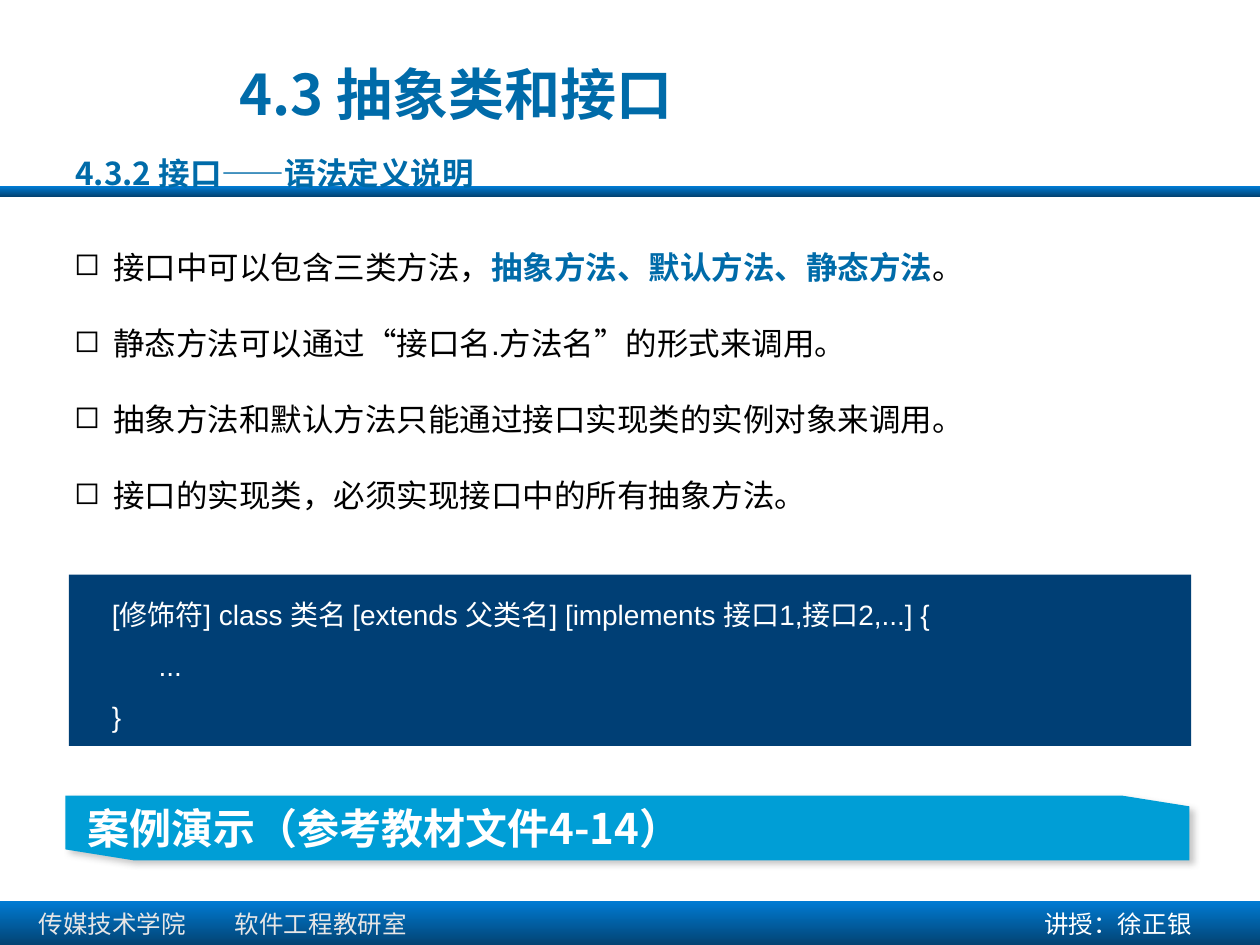
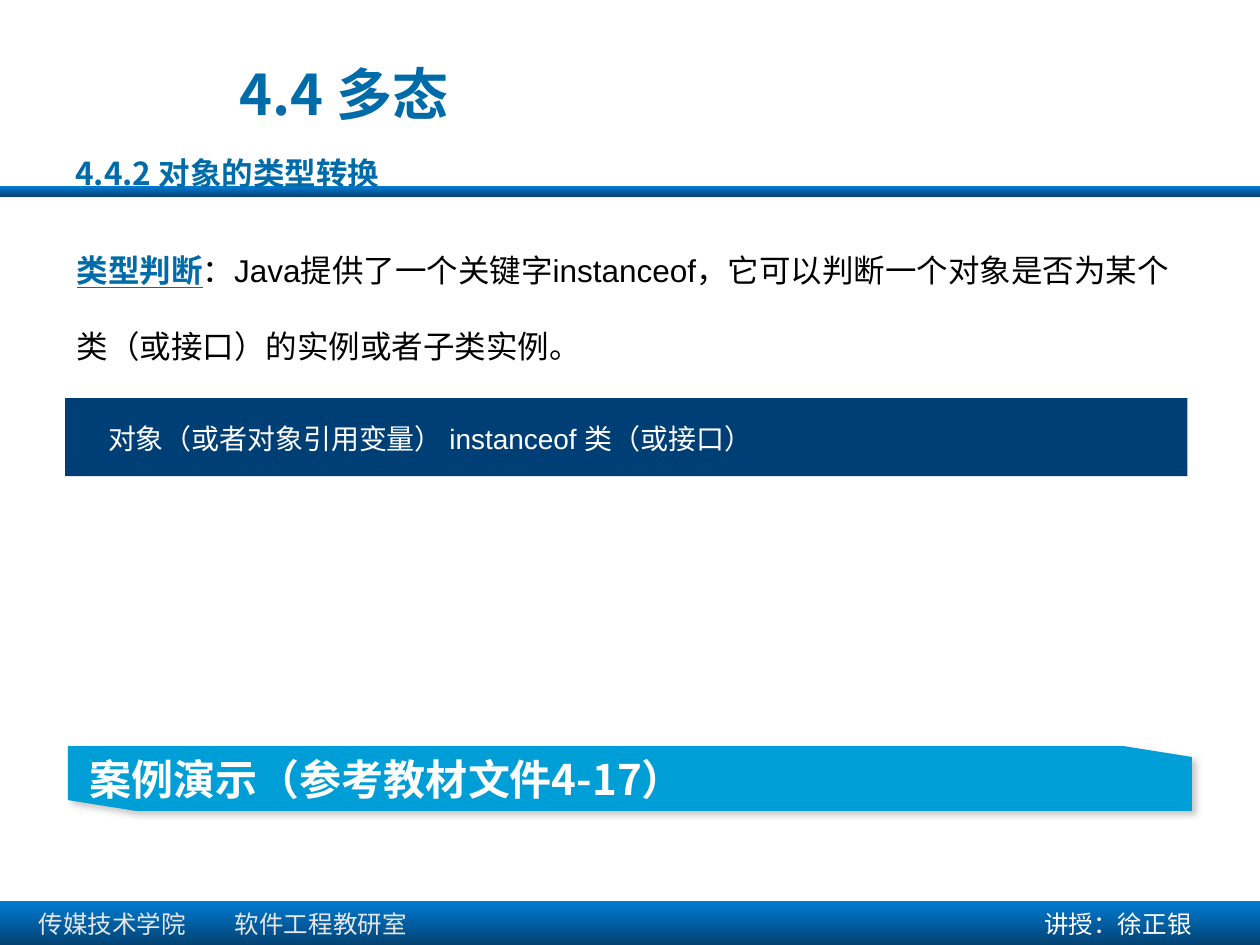
from lxml.etree import SubElement
from pptx import Presentation
from pptx.dml.color import RGBColor
from pptx.enum.shapes import MSO_SHAPE
from pptx.enum.text import MSO_ANCHOR, MSO_AUTO_SIZE, PP_ALIGN
from pptx.oxml.ns import qn
from pptx.util import Pt

COLORS = {
    "band_top": "007BD3", "band_bottom": "034373", "accent": "006BA9",
    "code": "003F75", "banner": "009ED6", "shadow": "808080",
    "pale": "E7E6E6", "white": "FFFFFF", "black": "000000",
}
SANS = "Noto Sans CJK SC"
LEADING = 1.21
WIDTH, HEIGHT = 720, 540


def rgb(name):
    """Return the named colour."""
    return RGBColor.from_string(COLORS[name])


def write(p, text, size=18, font="Arial", color="black", bold=False, underline=False):
    """Add a formatted run to a paragraph."""
    r = p.add_run()
    r.text = text
    f = r.font
    f.name, f.size, f.bold, f.underline = font, Pt(size), bold, underline
    f.color.rgb = rgb(color)
    SubElement(r._r.get_or_add_rPr(), qn("a:ea"), typeface=SANS)


def fill_text(tf, paragraphs, size=18, spacing=1, indent=0, bullet=None,
              anchor=MSO_ANCHOR.TOP, **fmt):
    """Write paragraphs, each a list of (text, format) runs."""
    tf.word_wrap = True
    tf.auto_size = MSO_AUTO_SIZE.NONE
    tf.vertical_anchor = anchor
    for i, runs in enumerate(paragraphs):
        p = tf.paragraphs[0] if i == 0 else tf.add_paragraph()
        p.alignment = PP_ALIGN.LEFT
        pPr = p._p.get_or_add_pPr()
        if bullet:
            pPr.set("marL", str(Pt(indent)))
            pPr.set("indent", str(-Pt(indent)))
            SubElement(pPr, qn("a:buChar"), char=bullet)
        p.line_spacing = Pt(round(size * LEADING * spacing, 2))
        p.space_before = Pt(0)
        for text, extra in runs:
            write(p, text, size=size, **{**fmt, **extra})


def add_text(s, box, paragraphs, **fmt):
    """Add a text box."""
    sp = s.shapes.add_textbox(*map(Pt, box))
    fill_text(sp.text_frame, paragraphs, **fmt)
    return sp


def add_rect(s, box):
    """Add a rectangle without outline or shadow."""
    sp = s.shapes.add_shape(MSO_SHAPE.RECTANGLE, *map(Pt, box))
    sp.shadow.inherit = False
    sp.line.fill.background()
    return sp


def add_band(s, box):
    """Add a full-width band with a vertical gradient."""
    fill = add_rect(s, box).fill
    fill.gradient()
    fill.gradient_angle = 270
    for stop, name in zip(fill.gradient_stops, ("band_top", "band_bottom")):
        stop.color.rgb = rgb(name)


def add_footer(s, top):
    """Add the footer band with its labels."""
    add_band(s, (0, top, WIDTH, HEIGHT - top))
    labels = ((15, 110, "传媒技术学院", "pale"), (127.2, 150, "软件工程教研室", "pale"),
              (589.7, 128, "讲授：徐正银", "white"))
    for left, width, text, color in labels:
        add_text(s, (left, top + 0.7, width, 24.5), [[(text, {})]], size=14, color=color)


def add_frame(prs, title, subtitle):
    """Add a slide with title, subtitle, bands and footer."""
    s = prs.slides.add_slide(prs.slide_layouts[5])
    sp = s.shapes.title
    sp.left, sp.top, sp.width, sp.height = map(Pt, (129.6, 31, 389.5, 44))
    fill_text(sp.text_frame, [[(title, {})]], size=32, font=SANS, color="accent",
              bold=True, anchor=MSO_ANCHOR.MIDDLE)
    add_band(s, (0, 106.5, WIDTH, 6))
    add_footer(s, 515)
    add_text(s, (36, 84.2, 648, 51), [[(subtitle, {})]], font=SANS,
             color="accent", bold=True)
    return s


def add_code(s, box, lines):
    """Add a dark code panel from (nesting level, text) lines."""
    sp = add_rect(s, box)
    sp.fill.solid()
    sp.fill.fore_color.rgb = rgb("code")
    tf = sp.text_frame
    fill_text(tf, [[(text, {})] for _, text in lines], size=16, spacing=1.5, color="white")
    for p, (level, _) in zip(tf.paragraphs, lines):
        p._p.get_or_add_pPr().set("marL", str(Pt(17.5 + 26.7 * level)))


def add_banner(s, left, top, text):
    """Add the snipped banner that announces a demonstration."""
    w, h, dx, dy = 642.3, 37, 38.8, 6.2
    corners = [(w - dx, 0), (w, dy), (w, h), (dx, h), (0, h - dy)]
    fb = s.shapes.build_freeform(Pt(left), Pt(top))
    fb.add_line_segments([(Pt(left + x), Pt(top + y)) for x, y in corners])
    sp = fb.convert_to_shape()
    sp.fill.solid()
    sp.fill.fore_color.rgb = rgb("banner")
    sp.line.fill.background()
    sp.shadow.inherit = False
    effects = sp._element.spPr.find(qn("a:effectLst"))
    shadow = SubElement(effects, qn("a:outerShdw"), blurRad=str(Pt(4)), dist=str(Pt(3)),
                        dir="2700000", algn="tl", rotWithShape="0")
    color = SubElement(shadow, qn("a:srgbClr"), val=COLORS["shadow"])
    SubElement(color, qn("a:alpha"), val="43000")
    tf = sp.text_frame
    tf.margin_left, tf.margin_top, tf.margin_bottom = Pt(12.6), 0, 0
    fill_text(tf, [[(text, {})]], size=24, font=SANS, color="white", bold=True,
              anchor=MSO_ANCHOR.MIDDLE)


def build_interface_slide(prs):
    """Build the slide on interface syntax."""
    s = add_frame(prs, "4.3 抽象类和接口", "4.3.2 接口——语法定义说明")
    key = {"color": "accent", "bold": True}
    points = [
        [("接口中可以包含三类方法，", {}), ("抽象方法、默认方法、静态方法", key), ("。", {})],
        [("静态方法可以通过“接口名.方法名”的形式来调用。", {})],
        [("抽象方法和默认方法只能通过接口实现类的实例对象来调用。", {})],
        [("接口的实现类，必须实现接口中的所有抽象方法。", {})],
    ]
    add_text(s, (35.3, 116, 643, 181.5), points, spacing=2, indent=22.3, bullet="◻")
    add_code(s, (39.4, 328.3, 641.3, 98), [
        (0, "[修饰符] class 类名 [extends 父类名] [implements 接口1,接口2,...] {"),
        (1, "..."),
        (0, "}"),
    ])
    add_banner(s, 37.4, 454.6, "案例演示（参考教材文件4-14）")


def build_type_check_slide(prs):
    """Build the slide on type checks."""
    s = add_frame(prs, "4.4 多态", "4.4.2 对象的类型转换")
    key = {"color": "accent", "bold": True, "underline": True}
    add_text(s, (36.7, 118, 642.3, 88), [[
        ("类型判断", key),
        ("：Java提供了一个关键字instanceof，它可以判断一个对象是否为某个类（或接口）的实例或者子类实例。", {}),
    ]], spacing=2)
    add_code(s, (37.2, 227.5, 641.3, 44.6), [(0, "对象（或者对象引用变量） instanceof 类（或接口）")])
    add_banner(s, 38.8, 426.4, "案例演示（参考教材文件4-17）")


def main():
    """Build and save the presentation."""
    prs = Presentation()
    prs.slide_width, prs.slide_height = Pt(WIDTH), Pt(HEIGHT)
    build_interface_slide(prs)
    build_type_check_slide(prs)
    prs.save("out.pptx")


if __name__ == "__main__":
    main()
